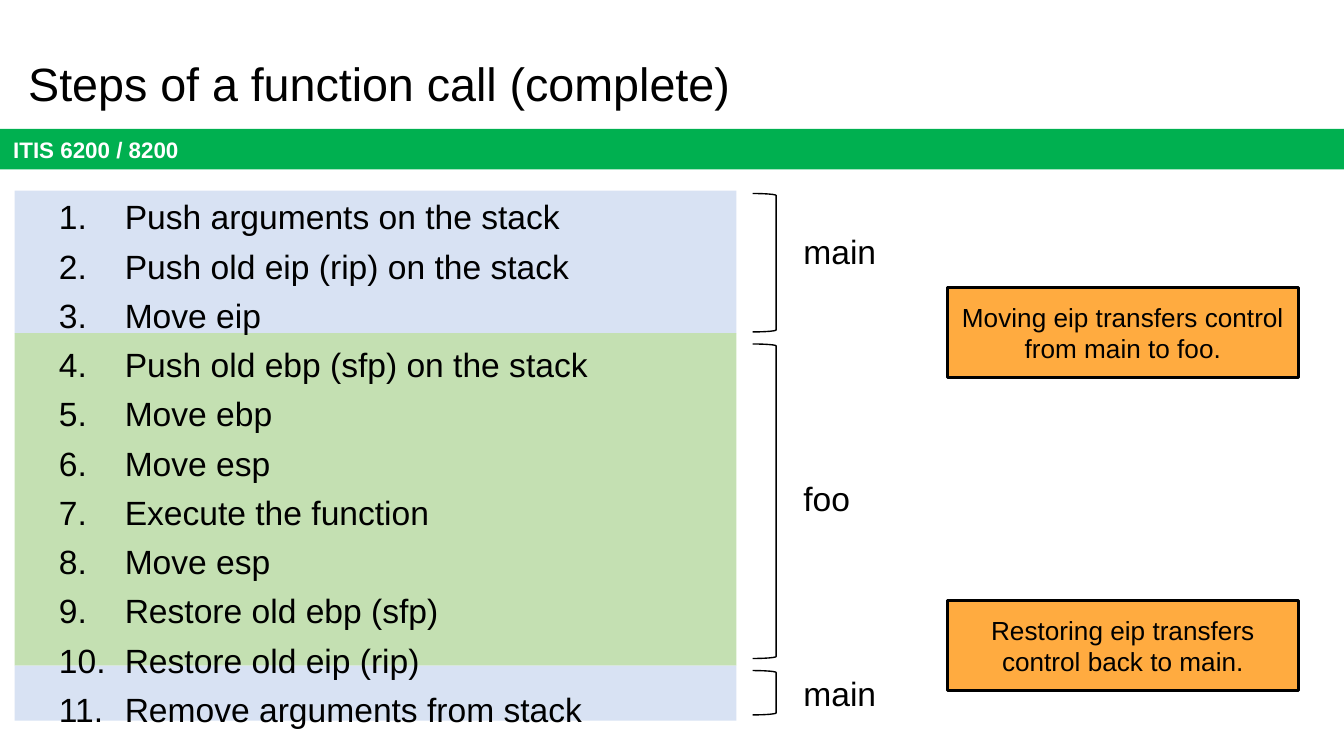
from pptx import Presentation
from pptx.dml.color import RGBColor
from pptx.enum.shapes import MSO_SHAPE
from pptx.enum.text import MSO_ANCHOR, MSO_AUTO_SIZE, PP_ALIGN
from pptx.oxml.xmlchemy import OxmlElement
from pptx.util import Inches, Pt

RECT, BRACKET = MSO_SHAPE.RECTANGLE, MSO_SHAPE.RIGHT_BRACKET
TOP, MIDDLE, BOTTOM = MSO_ANCHOR.TOP, MSO_ANCHOR.MIDDLE, MSO_ANCHOR.BOTTOM
NO_FIT, GROW = MSO_AUTO_SIZE.NONE, MSO_AUTO_SIZE.SHAPE_TO_FIT_TEXT
LEFT, CENTER = PP_ALIGN.LEFT, PP_ALIGN.CENTER

BLACK = RGBColor(0x00, 0x00, 0x00)
WHITE = RGBColor(0xFF, 0xFF, 0xFF)
GREEN = RGBColor(0x00, 0xB0, 0x50)
PALE_BLUE = RGBColor(0xD8, 0xE2, 0xF3)
PALE_GREEN = RGBColor(0xC4, 0xE0, 0xB2)
ORANGE = RGBColor(0xFF, 0xAB, 0x40)

WIDTH, HEIGHT = Inches(10), Inches(5.625)
COL, ROW = WIDTH / 100, HEIGHT / 100
STEP_ROWS = 6.28
STEPS_TOP = 25.24

STEPS = [
    "Push arguments on the stack",
    "Push old eip (rip) on the stack",
    "Move eip",
    "Push old ebp (sfp) on the stack",
    "Move ebp",
    "Move esp",
    "Execute the function",
    "Move esp",
    "Restore old ebp (sfp)",
    "Restore old eip (rip)",
    "Remove arguments from stack",
]
PHASES = [
    ("main", 0, 3, PALE_BLUE, (0.36, 0.17), 4.45),
    ("foo", 3, 7, PALE_GREEN, (1.43, 0.93), 18.32),
    ("main", 10, 1.16, PALE_BLUE, (0.67, 0.75), 0.14),
]
CALLOUTS = [
    ("Moving eip transfers control from main to foo.", 38.04),
    ("Restoring eip transfers control back to main.", 79.47),
]


def apply(target, formats):
    """Set each attribute named in formats on target."""
    for name, value in formats.items():
        setattr(target, name, value)


def emu(box):
    """Turn a box of grid columns and rows into slide lengths."""
    x, y, w, h = box
    return [round(n) for n in (x * COL, y * ROW, w * COL, h * ROW)]


def add_block(slide, kind, box, fill=None, line_width=None):
    """Add a preset shape with plain fill and optional black outline."""
    block = slide.shapes.add_shape(kind, *emu(box))
    block.shadow.inherit = False
    if fill is None:
        block.fill.background()
    else:
        block.fill.solid()
        block.fill.fore_color.rgb = fill
    if line_width is None:
        block.line.fill.background()
    else:
        block.line.color.rgb = BLACK
        block.line.width = Pt(line_width)
    return block


def write(holder, lines, size, color=BLACK, bold=False, align=LEFT,
          anchor=TOP, fit=NO_FIT, inset=0.1, spacing=1.0, numbered=False):
    """Fill a text holder with formatted paragraphs."""
    frame = holder.text_frame
    apply(frame, {
        "word_wrap": True, "auto_size": fit, "vertical_anchor": anchor,
        "margin_left": Inches(0.1), "margin_right": Inches(0.1),
        "margin_top": Inches(inset), "margin_bottom": Inches(inset),
    })
    frame.text = "\n".join(lines)
    for index, paragraph in enumerate(frame.paragraphs):
        apply(paragraph, {"alignment": align, "line_spacing": spacing})
        if numbered:
            number_step(paragraph, index)
        apply(paragraph.runs[0].font,
              {"name": "Arial", "size": Pt(size), "bold": bold})
        paragraph.runs[0].font.color.rgb = color


def number_step(paragraph, index):
    """Give a step its automatic number, hanging indent and gap."""
    paragraph.space_before = Pt(4.8 if index else 0)
    properties = paragraph._p.get_or_add_pPr()
    properties.set("marL", str(Inches(0.61)))
    properties.set("indent", str(Inches(-0.49)))
    numbering = OxmlElement("a:buAutoNum")
    numbering.set("type", "arabicPeriod")
    properties.append(numbering)


def add_heading(slide, box):
    """Place the slide title in the given box."""
    title = slide.shapes.title
    apply(title, dict(zip(("left", "top", "width", "height"), emu(box))))
    write(title, ["Steps of a function call (complete)"], 25,
          anchor=BOTTOM, spacing=0.9)


def add_banner(slide, box):
    """Draw the course banner across the given box."""
    banner = add_block(slide, RECT, box, GREEN)
    write(banner, ["ITIS 6200 / 8200"], 12, WHITE, bold=True, anchor=MIDDLE)


def add_phase(slide, box, caller, color, gaps, label_drop):
    """Draw a band of steps with its bracket and caller label."""
    x, y, w, h = box
    above, below = gaps
    add_block(slide, RECT, box, color)
    bracket = add_block(
        slide, BRACKET, (x + w + 1.2, y + above, 1.75, h - above - below),
        line_width=0.75)
    bracket.adjustments[0] = 0.083
    label = slide.shapes.add_textbox(
        *emu((x + w + 4, y + label_drop, 15, 6)))
    write(label, [caller], 18, inset=0.05)


def add_steps(slide, box):
    """Write the numbered steps in the given box."""
    steps = slide.shapes.add_textbox(*emu(box))
    write(steps, STEPS, 18, numbered=True)


def add_callout(slide, box, remark):
    """Draw an outlined remark in the given box."""
    callout = add_block(slide, RECT, box, ORANGE, 1.5)
    write(callout, [remark], 14, align=CENTER, fit=GROW)


def main():
    """Build and save the slide."""
    deck = Presentation()
    apply(deck, {"slide_width": WIDTH, "slide_height": HEIGHT})
    slide = deck.slides.add_slide(deck.slide_layouts.get_by_name("Title Only"))
    add_heading(slide, (1.1, 5.33, 93.2, 11.2))
    add_banner(slide, (0, 17.07, 100, 5.33))
    for caller, first, count, color, gaps, label_drop in PHASES:
        band = (1.1, STEPS_TOP + first * STEP_ROWS, 53.7, count * STEP_ROWS)
        add_phase(slide, band, caller, color, gaps, label_drop)
    add_steps(slide, (2.2, 24.18, 93.2, 73.24))
    for remark, top in CALLOUTS:
        add_callout(slide, (70.5, top, 26.1, 11.91), remark)
    deck.save("out.pptx")


if __name__ == "__main__":
    main()
